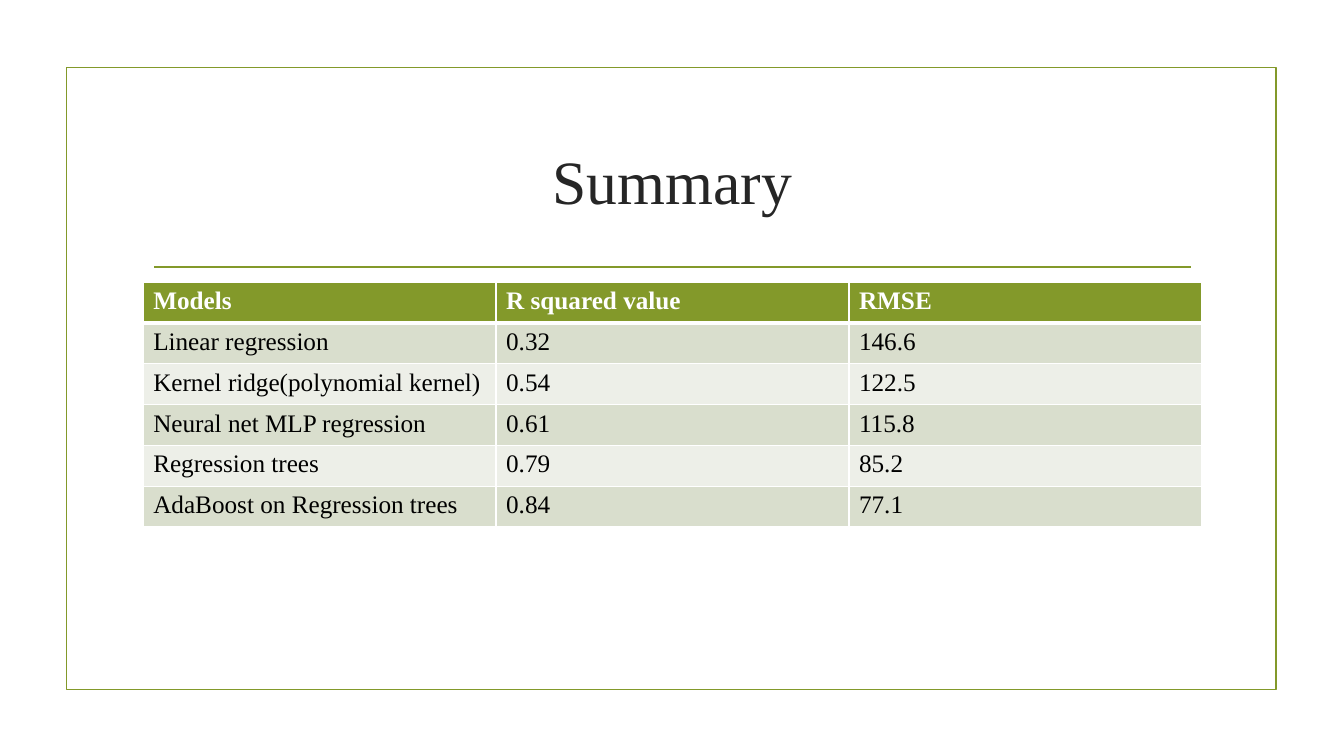
from dataclasses import dataclass

from lxml.etree import SubElement
from pptx import Presentation
from pptx.dml.color import RGBColor
from pptx.enum.shapes import MSO_CONNECTOR as Connector, MSO_SHAPE as Shape
from pptx.enum.text import MSO_ANCHOR as Anchor, PP_ALIGN as Align
from pptx.oxml.ns import qn
from pptx.util import Inches, Pt

TITLE = "Summary"
ROWS = [
    ("Models", "R squared value", "RMSE"),
    ("Linear regression", "0.32", "146.6"),
    ("Kernel ridge(polynomial kernel)", "0.54", "122.5"),
    ("Neural net MLP regression", "0.61", "115.8"),
    ("Regression trees", "0.79", "85.2"),
    ("AdaBoost on Regression trees", "0.84", "77.1"),
]


@dataclass(frozen=True)
class Theme:
    font: str = "Times New Roman"
    accent: str = "83992A"
    title: str = "262626"
    text: str = "000000"
    white: str = "FFFFFF"
    bands: tuple = ("EDEFE8", "D9DECD")
    title_size: int = 44
    table_size: int = 18
    rule_width: float = 1.25
    border_width: int = 1
    header_border_width: int = 3


THEME = Theme()
LEFT, WIDTH = 1.42, 10.5
TABLE_TOP, TABLE_HEIGHT = 2.8, 2.43


def set_font(paragraph, size, color, bold=False):
    font = paragraph.font
    font.name = THEME.font
    font.size = Pt(size)
    font.bold = bold
    font.color.rgb = RGBColor.from_string(color)


def set_line(line):
    line.color.rgb = RGBColor.from_string(THEME.accent)
    line.width = Pt(THEME.rule_width)


def add_frame(slide):
    frame = slide.shapes.add_shape(
        Shape.RECTANGLE, Inches(0.66), Inches(0.67), Inches(12), Inches(6.17))
    frame.shadow.inherit = False
    frame.fill.background()
    set_line(frame.line)


def add_rule(slide):
    rule = slide.shapes.add_connector(
        Connector.STRAIGHT, Inches(1.53), Inches(2.65), Inches(11.81), Inches(2.65))
    set_line(rule.line)
    SubElement(rule._element.spPr, qn("a:effectLst"))


def fill_title(slide):
    title = slide.shapes.title
    title.left, title.top = Inches(LEFT), Inches(1.07)
    title.width, title.height = Inches(WIDTH), Inches(1.43)
    title.text_frame.text = TITLE
    title.text_frame.vertical_anchor = Anchor.MIDDLE
    paragraph = title.text_frame.paragraphs[0]
    paragraph.alignment = Align.CENTER
    set_font(paragraph, THEME.title_size, THEME.title)


def add_borders(cell, top, bottom):
    properties = cell._tc.get_or_add_tcPr()
    thin = THEME.border_width
    for side, width in (("L", thin), ("R", thin), ("T", top), ("B", bottom)):
        line = SubElement(properties, qn(f"a:ln{side}"), w=str(Pt(width)))
        fill = SubElement(line, qn("a:solidFill"))
        SubElement(fill, qn("a:srgbClr"), val=THEME.white)


def add_results(slide):
    table = slide.shapes.add_table(
        len(ROWS), len(ROWS[0]), Inches(LEFT), Inches(TABLE_TOP),
        Inches(WIDTH), Inches(TABLE_HEIGHT)).table
    thin, thick = THEME.border_width, THEME.header_border_width
    for row_index, values in enumerate(ROWS):
        header = row_index == 0
        background = THEME.accent if header else THEME.bands[row_index % 2]
        for column_index, value in enumerate(values):
            cell = table.cell(row_index, column_index)
            cell.text = value
            set_font(cell.text_frame.paragraphs[0], THEME.table_size,
                     THEME.white if header else THEME.text, header)
            add_borders(cell, thick if row_index == 1 else thin,
                        thick if header else thin)
            cell.fill.solid()
            cell.fill.fore_color.rgb = RGBColor.from_string(background)


def main():
    presentation = Presentation()
    presentation.slide_width = Inches(13.33)
    presentation.slide_height = Inches(7.5)
    slide = presentation.slides.add_slide(presentation.slide_layouts[5])
    add_frame(slide)
    add_rule(slide)
    fill_title(slide)
    add_results(slide)
    presentation.save("out.pptx")


if __name__ == "__main__":
    main()
